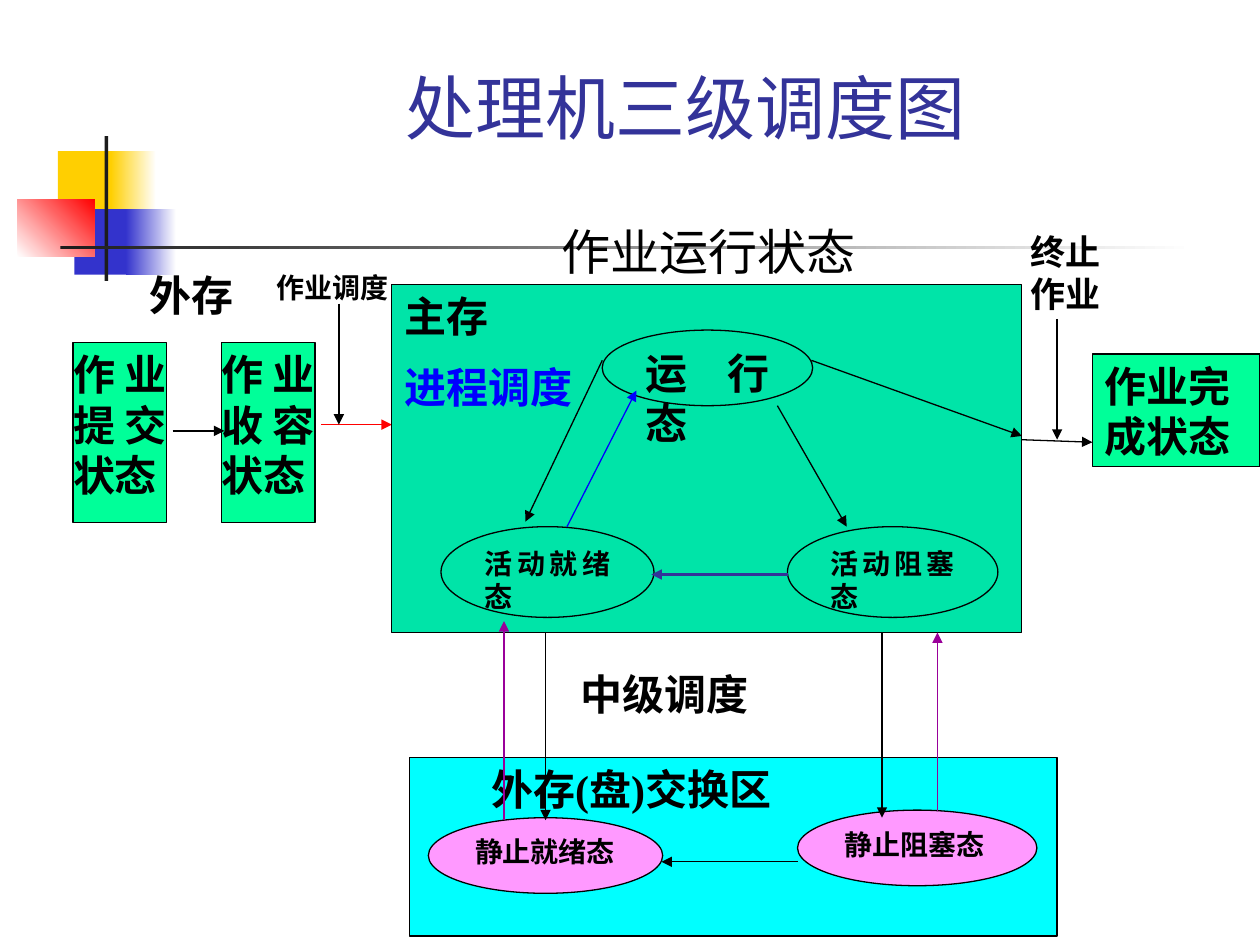
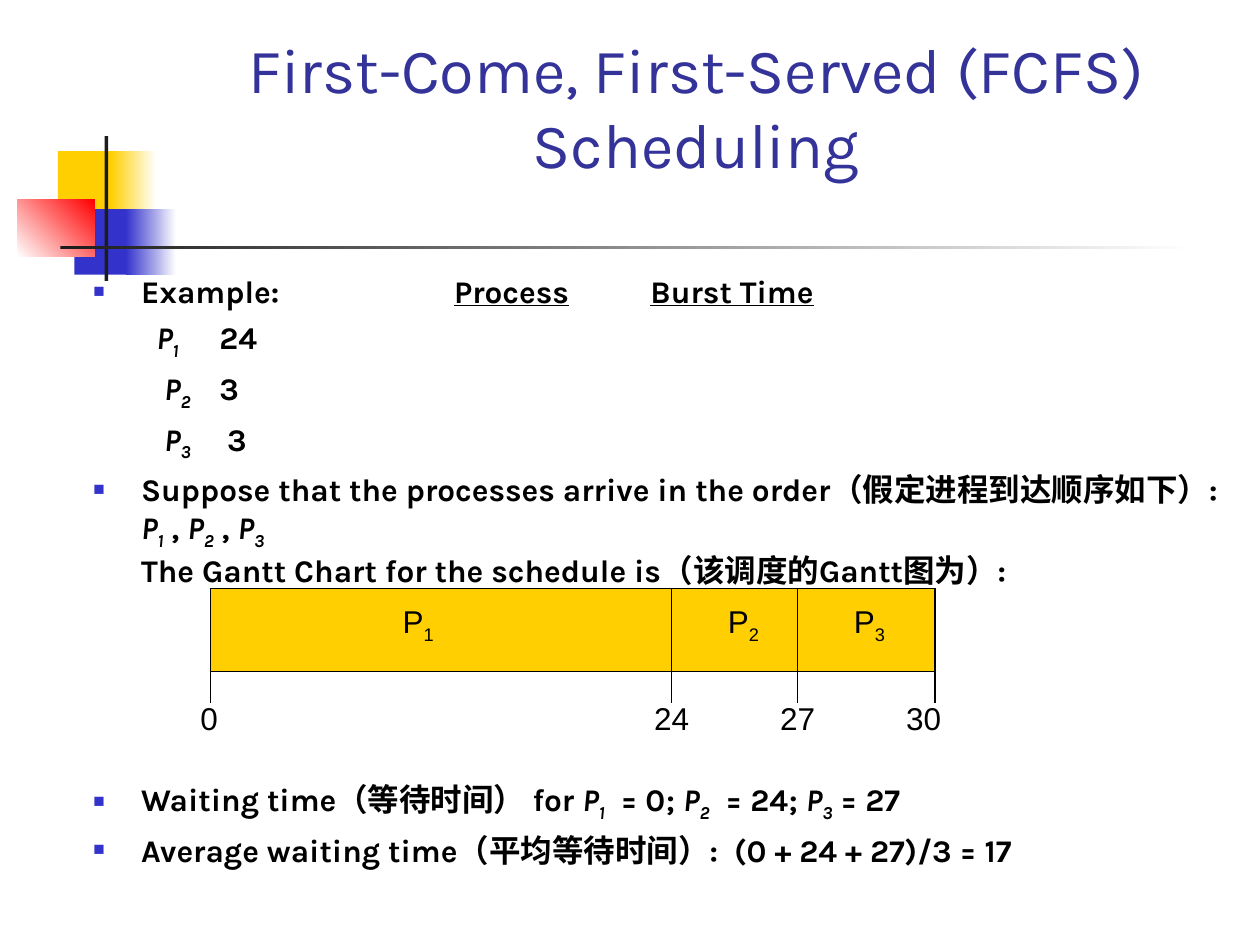
from dataclasses import dataclass

from lxml import etree
from pptx import Presentation
from pptx.dml.color import RGBColor
from pptx.enum.shapes import MSO_CONNECTOR, MSO_SHAPE
from pptx.enum.text import MSO_ANCHOR, MSO_AUTO_SIZE, PP_ALIGN
from pptx.oxml.ns import qn
from pptx.util import Inches, Pt

RECTANGLE, OVAL = MSO_SHAPE.RECTANGLE, MSO_SHAPE.OVAL
LEFT, CENTER, JUSTIFY = PP_ALIGN.LEFT, PP_ALIGN.CENTER, PP_ALIGN.JUSTIFY


@dataclass(frozen=True)
class Theme:
    title: str = "333399"
    ink: str = "000000"
    white: str = "FFFFFF"
    yellow: str = "FFCF01"
    blue: str = "3333CC"
    red: str = "FF0000"
    charcoal: str = "1C1C1C"
    memory: str = "00E4A8"
    job: str = "00FF99"
    swap: str = "00FFFF"
    suspended: str = "FF99FF"
    dispatch: str = "0000FF"
    swap_in: str = "990099"
    chinese: str = "Noto Sans CJK SC"
    serif: str = "Times New Roman"
    sans: str = "Karla"
    chart: str = "Arial"
    large: int = 24
    medium: int = 20
    body: int = 18
    small: int = 16


THEME = Theme()

# Master decoration: left, top, width, height, colours, gradient angle
DECORATION = [
    (0.46, 1.2, 0.48, 0.52, [THEME.yellow], 0),
    (0.88, 1.2, 0.36, 0.52, [THEME.yellow, THEME.white], 0),
    (0.59, 1.66, 0.46, 0.52, [THEME.blue], 0),
    (1, 1.66, 0.4, 0.52, [THEME.blue, THEME.white], 0),
    (0.14, 1.58, 0.61, 0.46, [THEME.white, THEME.red], 45),
    (0.83, 1.08, 0.03, 1.15, [THEME.charcoal], 0),
    (0.48, 1.95, 9, 0.03, [THEME.charcoal, THEME.white], 0),
]

# Scheduling diagram
BOLD = {"size": THEME.large, "bold": True, "name": THEME.serif}
SMALL_BOLD = {**BOLD, "size": THEME.small}
CHINESE_BOLD = {**BOLD, "name": THEME.chinese}
SWAP_AREA = (3.25, 6.01, 5.14, 1.42)
MEMORY_AREA = (3.11, 2.26, 5, 2.76)
JOB_BOXES = [
    ("作业提交状态", (0.58, 2.72, 0.74, 1.43), JUSTIFY, 0),
    ("作业收容状态", (1.76, 2.72, 0.74, 1.43), JUSTIFY, 0),
    ("作业完成状态", (8.67, 2.81, 1.33, 0.89), LEFT, 0.1),
]
SUSPENDED_STATES = [
    ("静止就绪态", (3.4, 6.49, 1.86, 0.6), SMALL_BOLD),
    ("静止阻塞态", (6.33, 6.43, 1.9, 0.6), SMALL_BOLD),
]
ACTIVE_STATES = [
    ("运行态", (4.78, 2.62, 1.67, 0.6), BOLD),
    ("活动就绪态", (3.5, 4.18, 1.69, 0.72), SMALL_BOLD),
    ("活动阻塞态", (6.25, 4.18, 1.67, 0.72), SMALL_BOLD),
]
# Arrows: start, end, colour, width
ARROWS_BEHIND_MEMORY = [
    ((8.11, 3.49), (8.67, 3.51), THEME.ink, 0.75),
    ((8.39, 2.53), (8.39, 3.49), THEME.ink, 0.75),
    ((2.55, 3.37), (3.11, 3.37), THEME.red, 0.75),
    ((1.37, 3.42), (1.78, 3.42), THEME.ink, 0.75),
    ((2.69, 2.41), (2.69, 3.37), THEME.ink, 1),
    ((6.33, 6.84), (5.25, 6.84), THEME.ink, 0.75),
    ((4.33, 4.93), (4.33, 6.51), THEME.ink, 0.75),
    ((7, 4.93), (7, 6.49), THEME.ink, 0.75),
]
ARROWS_IN_FRONT = [
    ((4.78, 2.86), (4.17, 4.14), THEME.ink, 0.75),
    ((4.5, 4.18), (5.05, 3.1), THEME.dispatch, 0.75),
    ((6.17, 3.22), (6.72, 4.18), THEME.ink, 0.75),
    ((6.44, 2.86), (8.11, 3.46), THEME.ink, 0.75),
    ((6.25, 4.56), (5.17, 4.56), THEME.title, 1.5),
    ((4, 6.51), (4, 4.93), THEME.swap_in, 0.75),
    ((7.44, 6.44), (7.44, 5.02), THEME.swap_in, 0.75),
]
# Labels: text, box, font, alignment, wrap
LABELS = [
    ("作业运行状态", (4.07, 1.71, 3.11, 0.41),
     {"size": 28, "name": THEME.chinese}, CENTER, False),
    ("终止作业", (8.08, 1.78, 0.98, 0.66), {**BOLD, "size": THEME.medium}, LEFT, True),
    ("外存", (1.09, 2.09, 0.86, 0.5), CHINESE_BOLD, LEFT, False),
    ("中级调度", (4.51, 5.26, 1.53, 0.5), {**BOLD, "name": THEME.sans}, LEFT, False),
    ("作业调度", (1.99, 2.1, 1.3, 0.37), SMALL_BOLD, CENTER, False),
]

# FCFS example
BODY = {"size": THEME.body, "bold": True, "name": THEME.sans}
UNDERLINED = {**BODY, "underline": True}
ITALIC = {**BODY, "italic": True}
HEADER_TABS = [(3.32, "ctr"), (5.07, "ctr"), (6, "l")]
ROW_TABS = [(1.38, "l"), (2.38, "l")]
# Body lines: text with |n| for process n, bullet, left margin, space before, tabs
HEADER = [("Example:\t", BODY), ("Process", UNDERLINED), ("\t", BODY),
          ("Burst Time", UNDERLINED)]
BODY_LINES = [
    (HEADER, True, 0.38, 4.5, HEADER_TABS),
    ("\t|1|\t24", False, 0, 4.5, ROW_TABS),
    ("\t |2|\t3", False, 0, 4.5, ROW_TABS),
    ("\t |3|\t 3", False, 0, 4.5, ROW_TABS),
    ("Suppose that the processes arrive in the order（假定进程到达顺序如下）: "
     "|1| , |2| , |3|", True, 0.38, 4.5, []),
    ("The Gantt Chart for the schedule is（该调度的Gantt图为）:", False, 0.38, 0, []),
    ("Waiting time（等待时间） for |1|  = 0; |2|  = 24; |3| = 27", True, 0.38, 109, []),
    ("Average waiting time（平均等待时间）:  (0 + 24 + 27)/3 = 17", True, 0.38, 4.5, []),
]
GANTT_TOP, GANTT_BOTTOM, TICK_END = 4.67, 5.33, 5.58
GANTT_TICKS = [("0", 1.67, 1.66), ("24", 5.33, 5.33), ("27", 6.33, 6.33),
               ("30", 7.42, 7.33)]  # time, edge, label centre
GANTT_PROCESSES = [("1", 3.32), ("2", 5.9), ("3", 6.9)]


def color(value):
    return RGBColor.from_string(value)


def set_values(target, values):
    for name, value in values.items():
        setattr(target, name, value)


def add_run(paragraph, text, font, ink=THEME.ink, subscript=False):
    run = paragraph.add_run()
    run.text = text
    set_values(run.font, {**font, "size": Pt(font["size"])})
    run.font.color.rgb = color(ink)
    properties = run.font._element
    if subscript:
        properties.set("baseline", "-25000")
    latin = properties.find(qn("a:latin"))
    east_asian = etree.Element(qn("a:ea"), typeface=THEME.chinese)
    latin.addnext(east_asian)


def add_process(paragraph, number, font):
    add_run(paragraph, "P", font)
    add_run(paragraph, number, font, subscript=True)


def format_frame(shape, inset=0.1, wrap=True, anchor=MSO_ANCHOR.TOP):
    set_values(shape.text_frame, {
        "margin_left": Inches(inset), "margin_right": Inches(inset),
        "margin_top": Inches(0.05), "margin_bottom": Inches(0.05),
        "vertical_anchor": anchor, "auto_size": MSO_AUTO_SIZE.NONE, "word_wrap": wrap,
    })
    return shape.text_frame


def place(shape, box):
    set_values(shape, dict(zip(("left", "top", "width", "height"), map(Inches, box))))


def add_shape(slide, kind, box, fill, outlined=True):
    shape = slide.shapes.add_shape(kind, *map(Inches, box))
    shape.shadow.inherit = False
    shape.fill.solid()
    shape.fill.fore_color.rgb = color(fill)
    if outlined:
        shape.line.color.rgb = color(THEME.ink)
        shape.line.width = Pt(0.75)
    else:
        shape.line.fill.background()
    return shape


def write(shape, text, font, align=JUSTIFY, inset=0.1, wrap=True):
    paragraph = format_frame(shape, inset, wrap).paragraphs[0]
    paragraph.alignment = align
    add_run(paragraph, text, font)
    return paragraph


def add_line(slide, start, end, ink=THEME.ink, width=0.75, arrow=False):
    line = slide.shapes.add_connector(MSO_CONNECTOR.STRAIGHT, *map(Inches, start + end))
    line.line.color.rgb = color(ink)
    line.line.width = Pt(width)
    if arrow:
        etree.SubElement(line.line._get_or_add_ln(), qn("a:tailEnd"), type="triangle")
    etree.SubElement(line.element.spPr, qn("a:effectLst"))


def add_arrows(slide, arrows):
    for start, end, ink, width in arrows:
        add_line(slide, start, end, ink, width, arrow=True)


def add_states(slide, states, fill):
    for text, box, font in states:
        write(add_shape(slide, OVAL, box, fill), text, font)


def decorate_master(presentation, slide):
    """Build the corner blocks and rule, then hand them to the slide master."""
    tree = presentation.slide_master.element.cSld.spTree
    for *box, colors, angle in DECORATION:
        shape = add_shape(slide, RECTANGLE, box, colors[0], outlined=False)
        if len(colors) > 1:
            shape.fill.gradient()
            shape.fill.gradient_angle = angle
            for stop, value in zip(shape.fill.gradient_stops, colors):
                stop.color.rgb = color(value)
        tree.append(shape.element)


def set_title(slide, text, box, size, font):
    title = slide.shapes.title
    place(title, box)
    paragraph = format_frame(title, anchor=MSO_ANCHOR.BOTTOM).paragraphs[0]
    paragraph.alignment = CENTER
    add_run(paragraph, text, {"size": size, "name": font}, THEME.title)


def format_body_paragraph(paragraph, bullet, margin, space, tabs):
    properties = paragraph._p.get_or_add_pPr()
    properties.set("marL", str(Inches(margin)))
    properties.set("indent", str(-Inches(margin) if bullet else 0))
    if bullet:
        bullet_color = etree.SubElement(properties, qn("a:buClr"))
        etree.SubElement(bullet_color, qn("a:srgbClr"), val=THEME.blue)
        etree.SubElement(properties, qn("a:buSzPct"), val="60000")
        etree.SubElement(properties, qn("a:buChar"), char="■")
    else:
        etree.SubElement(properties, qn("a:buNone"))
    if tabs:
        tab_list = etree.SubElement(properties, qn("a:tabLst"))
        for position, align in tabs:
            etree.SubElement(tab_list, qn("a:tab"), pos=str(Inches(position)), algn=align)
    paragraph.space_before = Pt(space)


def build_scheduling_diagram(slide):
    set_title(slide, "处理机三级调度图", (1.18, 0, 8.52, 1.23), 40, THEME.chinese)
    swap = add_shape(slide, RECTANGLE, SWAP_AREA, THEME.swap)
    paragraph = write(swap, "外存", CHINESE_BOLD)
    add_run(paragraph, "(盘)交换区", BOLD)
    paragraph._p.get_or_add_pPr().set("marL", str(Inches(0.55)))
    for text, box, align, inset in JOB_BOXES:
        write(add_shape(slide, RECTANGLE, box, THEME.job), text, BOLD, align, inset)
    add_states(slide, SUSPENDED_STATES, THEME.suspended)
    add_arrows(slide, ARROWS_BEHIND_MEMORY)
    memory = add_shape(slide, RECTANGLE, MEMORY_AREA, THEME.memory)
    write(memory, "主存", BOLD)
    dispatch = memory.text_frame.add_paragraph()
    set_values(dispatch, {"alignment": JUSTIFY, "space_before": Pt(11.5)})
    add_run(dispatch, "进程调度", BOLD, THEME.dispatch)
    add_states(slide, ACTIVE_STATES, THEME.memory)
    add_arrows(slide, ARROWS_IN_FRONT)
    for text, box, font, align, wrap in LABELS:
        write(slide.shapes.add_textbox(*map(Inches, box)), text, font, align, wrap=wrap)


def add_gantt_label(slide, center, top, width, height):
    box = slide.shapes.add_textbox(*map(Inches, (center - width / 2, top, width, height)))
    paragraph = format_frame(box, wrap=False, anchor=MSO_ANCHOR.MIDDLE).paragraphs[0]
    paragraph.alignment = CENTER
    return paragraph


def build_fcfs_example(slide):
    set_title(slide, "First-Come, First-Served (FCFS) Scheduling",
              (1.42, 0.85, 8.21, 0.64), 36, THEME.sans)
    body = slide.placeholders[1]
    place(body, (0.64, 2.11, 9.15, 4.93))
    frame = format_frame(body)
    for index, (content, *layout) in enumerate(BODY_LINES):
        paragraph = frame.add_paragraph() if index else frame.paragraphs[0]
        format_body_paragraph(paragraph, *layout)
        if isinstance(content, list):
            for text, font in content:
                add_run(paragraph, text, font)
            continue
        for part, text in enumerate(content.split("|")):
            if part % 2:
                add_process(paragraph, text, ITALIC)
            elif text:
                add_run(paragraph, text, BODY)

    left, right = GANTT_TICKS[0][1], GANTT_TICKS[-1][1]
    add_shape(slide, RECTANGLE, (left, GANTT_TOP, right - left, GANTT_BOTTOM - GANTT_TOP),
              THEME.yellow)
    font = {"size": THEME.body, "name": THEME.chart}
    for number, center in GANTT_PROCESSES:
        add_process(add_gantt_label(slide, center, 4.73, 0.45, 0.44), number, font)
    for time, edge, center in GANTT_TICKS:
        add_line(slide, (edge, GANTT_TOP), (edge, TICK_END))
        add_run(add_gantt_label(slide, center, 5.5, 0.48, 0.4), time, font)


def main():
    presentation = Presentation()
    presentation.slide_width, presentation.slide_height = Inches(10), Inches(7.5)
    layouts = presentation.slide_layouts
    diagram = presentation.slides.add_slide(layouts.get_by_name("Title Only"))
    decorate_master(presentation, diagram)
    build_scheduling_diagram(diagram)
    build_fcfs_example(presentation.slides.add_slide(layouts.get_by_name("Title and Content")))
    presentation.save("out.pptx")


if __name__ == "__main__":
    main()
